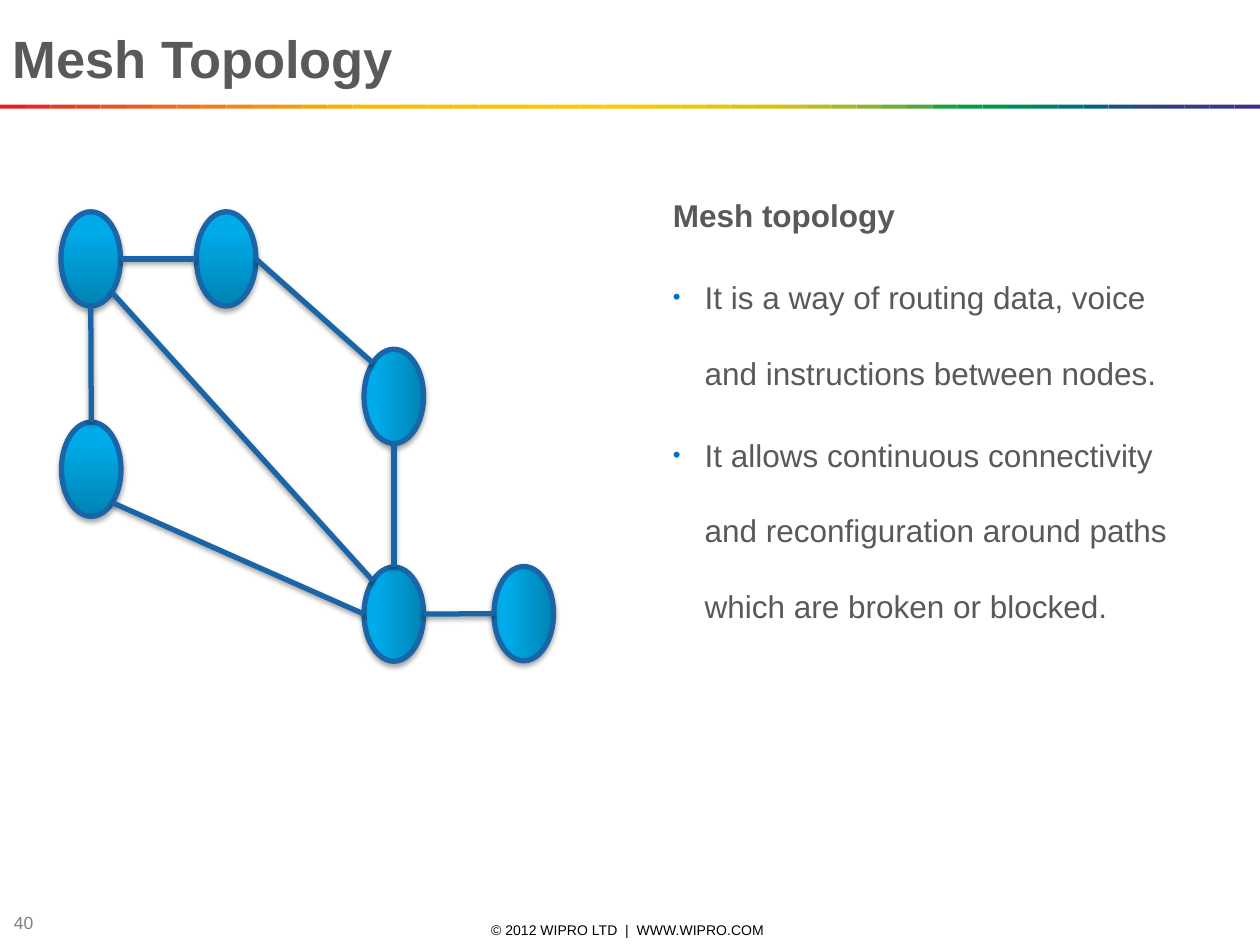
import pptx
import pptx.dml.color
import pptx.enum.shapes
import pptx.enum.text
import pptx.oxml
import pptx.oxml.ns
import pptx.util
from lxml import etree
from pptx.util import Cm, Pt

TITLE = "Mesh Topology"
HEADING = "Mesh topology"
POINTS = [
    "It is a way of routing data, voice and instructions between nodes.",
    "It allows continuous connectivity and reconfiguration around paths which are broken or blocked.",
]
FOOTER = "© 2012 WIPRO LTD  |  WWW.WIPRO.COM"
PAGE_NUMBER = "40"

RAINBOW = """
E31E24 E42C24 E53A24 E74623 E85122 EA5D21 EC691F EE741D EF7E1A F18817
F39314 F49C0F F6A607 F8B002 FBBA00 FBBB00 FBBD00 FCBF00 FCC000 FCC200
FDC400 FDC600 FDC700 FEC900 FECB00 FBCB00 F3CA00 ECC800 E4C602 DCC50A
D5C30E CCC117 B8BC21 A3B829 8CB230 71AD36 51A73B 1DA240 009D43 009846
008C57 008068 007275 00637F 185384 2E4285 313E85 333B85 353885 393185
""".split()

# name: centre x, centre y, rotation
NODES = {
    "far right": (10.56, 12.37, 270),
    "hub": (7.94, 12.38, 270),
    "middle": (7.94, 7.99, 270),
    "lower left": (1.84, 9.46, 0),
    "upper left": (1.83, 5.22, 0),
    "upper middle": (4.56, 5.22, 0),
}
LINKS = [
    ("hub", "top", "middle", "bottom"),
    ("hub", "right", "far right", "left"),
    ("upper left", "right", "upper middle", "left"),
    ("upper left", "bottom", "lower left", "top"),
    ("upper middle", "right", "middle", "top left"),
    ("lower left", "bottom right", "hub", "left"),
    ("upper left", "bottom right", "hub", "top left"),
]
SITES = {
    "top": (0, -1), "bottom": (0, 1), "left": (-1, 0), "right": (1, 0),
    "top left": (-0.71, -0.71), "bottom right": (0.71, 0.71),
}
NODE_WIDTH, NODE_HEIGHT = 1.2, 1.9
NODE_GRADIENT = [(0, "0083B3"), (80, "00ABE9"), (100, "00ABEA")]
EDGE = "1965A7"
GREY = "595959"
SLIDE_WIDTH, SLIDE_HEIGHT = 25.4, 19.05


def colour(value):
    return pptx.dml.color.RGBColor.from_string(value)


def add_element(parent, tag, **attributes):
    child = etree.SubElement(parent, pptx.oxml.ns.qn(tag))
    for name, value in attributes.items():
        child.set(name, str(value))
    return child


def format_text(para, size, value, bold=False):
    para.font.name = "Arial"
    para.font.size = Pt(size)
    para.font.bold = bold
    para.font.color.rgb = colour(value)


def add_shadow(properties, opacity, distance):
    effects = add_element(properties, "a:effectLst")
    shadow = add_element(effects, "a:outerShdw", blurRad=Pt(3.1), dist=Pt(distance),
                         dir=90 * 60000, rotWithShape=0)
    black = add_element(shadow, "a:srgbClr", val="000000")
    add_element(black, "a:alpha", val=opacity * 1000)


def style_edge(line):
    line.color.rgb = colour(EDGE)
    line.width = Pt(3)


def place(shape, left, top, width, height):
    shape.left, shape.top, shape.width, shape.height = map(Cm, (left, top, width, height))


def add_rainbow(page):
    step = SLIDE_WIDTH / len(RAINBOW)
    for index, value in enumerate(RAINBOW):
        strip = page.shapes.add_shape(
            pptx.enum.shapes.MSO_SHAPE.RECTANGLE,
            Cm(index * step), Cm(2.11), Cm(step), Cm(0.08))
        strip.shadow.inherit = False
        strip.fill.solid()
        strip.fill.fore_color.rgb = colour(value)
        strip.line.fill.background()


def add_node(page, x, y, rotation):
    width, height = (NODE_HEIGHT, NODE_WIDTH) if rotation else (NODE_WIDTH, NODE_HEIGHT)
    node = page.shapes.add_shape(
        pptx.enum.shapes.MSO_SHAPE.OVAL,
        Cm(x - width / 2), Cm(y - height / 2), Cm(width), Cm(height))
    node.rotation = rotation
    node.fill.gradient()
    node.fill.gradient_angle = 90
    stops = node.element.spPr.find(".//" + pptx.oxml.ns.qn("a:gsLst"))
    for stop in list(stops):
        stops.remove(stop)
    for position, value in NODE_GRADIENT:
        stop = add_element(stops, "a:gs", pos=position * 1000)
        add_element(stop, "a:srgbClr", val=value)
    style_edge(node.line)
    add_shadow(node.element.spPr, 35, 1.8)


def site_position(node, site):
    x, y, _ = NODES[node]
    across, down = SITES[site]
    return Cm(x + across * NODE_WIDTH / 2), Cm(y + down * NODE_HEIGHT / 2)


def add_link(page, start, start_site, end, end_site):
    link = page.shapes.add_connector(
        pptx.enum.shapes.MSO_CONNECTOR.STRAIGHT,
        *site_position(start, start_site), *site_position(end, end_site))
    style_edge(link.line)
    add_shadow(link.element.spPr, 38, 1.6)


def fill_title(box):
    place(box, 0, 0.38, SLIDE_WIDTH, 1.55)
    frame = box.text_frame
    frame.text = TITLE
    frame.auto_size = pptx.enum.text.MSO_AUTO_SIZE.NONE
    frame.vertical_anchor = pptx.enum.text.MSO_ANCHOR.MIDDLE
    para = frame.paragraphs[0]
    para.alignment = pptx.enum.text.PP_ALIGN.LEFT
    format_text(para, 30, GREY, bold=True)


def fill_body(box):
    place(box, 13.31, 3.07, 11, 13.94)
    frame = box.text_frame
    frame.text = "\n".join([HEADING] + POINTS)
    frame.auto_size = pptx.enum.text.MSO_AUTO_SIZE.NONE
    for index, para in enumerate(frame.paragraphs):
        is_heading = index == 0
        properties = para._p.get_or_add_pPr()
        properties.set("marL", str(Cm(0.64)))
        properties.set("indent", str(-Cm(0.64)))
        if is_heading:
            add_element(properties, "a:buNone")
        else:
            bullet_colour = add_element(properties, "a:buClr")
            add_element(bullet_colour, "a:srgbClr", val="0070C0")
            add_element(properties, "a:buSzPct", val=70000)
            add_element(properties, "a:buFont", typeface="Arial")
            add_element(properties, "a:buChar", char="•")
        para.line_spacing = 2.0
        para.space_before = Pt(0 if is_heading else 3.6)
        format_text(para, 18, GREY, bold=is_heading)


def add_small_text(page, text, frame_area, size, value, alignment):
    box = page.shapes.add_textbox(*map(Cm, frame_area))
    frame = box.text_frame
    frame.word_wrap = True
    frame.margin_top = frame.margin_bottom = 0
    frame.vertical_anchor = pptx.enum.text.MSO_ANCHOR.MIDDLE
    frame.text = text
    para = frame.paragraphs[0]
    para.alignment = alignment
    format_text(para, size, value)


def main():
    deck = pptx.Presentation()
    deck.slide_width, deck.slide_height = Cm(SLIDE_WIDTH), Cm(SLIDE_HEIGHT)
    page = deck.slides.add_slide(deck.slide_layouts[1])
    align = pptx.enum.text.PP_ALIGN
    add_small_text(page, FOOTER, (8.63, 18.54, 8.05, 0.41), 8, "000000", align.CENTER)
    add_small_text(page, PAGE_NUMBER, (0.03, 18.34, 1.9, 0.53), 10, "808080", align.LEFT)
    add_rainbow(page)
    fill_title(page.shapes.title)
    fill_body(page.placeholders[1])
    for node in NODES.values():
        add_node(page, *node)
    for link in LINKS:
        add_link(page, *link)
    deck.save("out.pptx")


if __name__ == "__main__":
    main()
